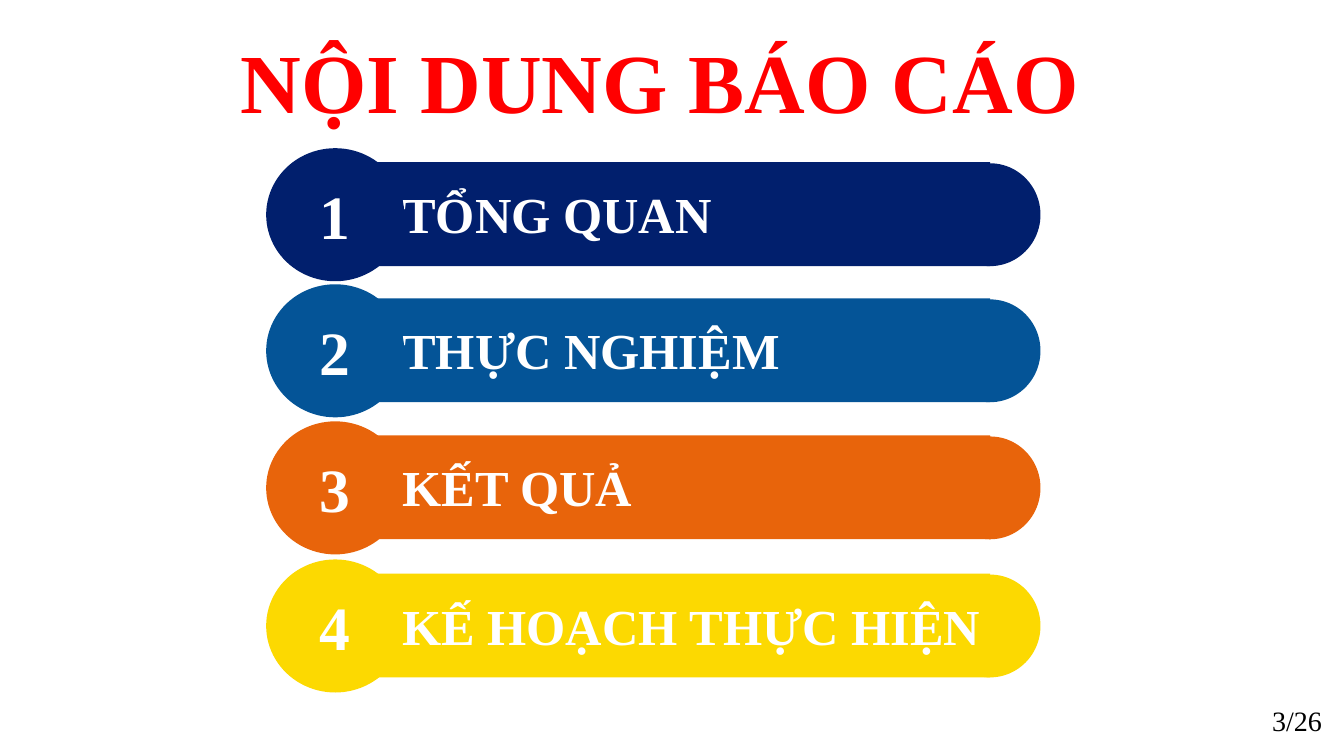
from dataclasses import dataclass

import pptx
import pptx.dml.color
import pptx.enum.shapes
import pptx.enum.text
import pptx.shapes.autoshape
import pptx.slide
import pptx.text.text
import pptx.util

Inches = pptx.util.Inches
Shapes = pptx.enum.shapes.MSO_SHAPE
Align = pptx.enum.text.PP_ALIGN
Anchor = pptx.enum.text.MSO_ANCHOR


@dataclass
class Section:
    heading: str
    top: float
    color: str
    heading_width: float = 4.82


SECTIONS = [
    Section("TỔNG QUAN", 1.61, "011F6D"),
    Section("THỰC NGHIỆM", 2.96, "045497"),
    Section("KẾT QUẢ", 4.32, "E8640B"),
    Section("KẾ HOẠCH THỰC HIỆN", 5.69, "FCD901", 6.89),
]


def rgb(color: str) -> pptx.dml.color.RGBColor:
    return pptx.dml.color.RGBColor.from_string(color)


def write(frame: pptx.text.text.TextFrame, text: str, *, size: int,
          color: str = "FFFFFF", bold: bool = True, align: Align = Align.LEFT,
          anchor: Anchor = Anchor.TOP, line_spacing: float = 1.0,
          margin_left: float = 0.1) -> None:
    frame.word_wrap = True
    frame.auto_size = pptx.enum.text.MSO_AUTO_SIZE.NONE
    frame.vertical_anchor = anchor
    frame.margin_left = Inches(margin_left)
    frame.text = text
    paragraph = frame.paragraphs[0]
    paragraph.alignment = align
    paragraph.line_spacing = line_spacing
    font = paragraph.runs[0].font
    font.name = "Times New Roman"
    font.size = pptx.util.Pt(size)
    font.bold = bold
    font.color.rgb = rgb(color)


def add_filled(slide: pptx.slide.Slide, kind: Shapes, left: float, top: float,
               width: float, height: float, color: str) -> pptx.shapes.autoshape.Shape:
    filled = slide.shapes.add_shape(kind, Inches(left), Inches(top), Inches(width), Inches(height))
    filled.shadow.inherit = False
    filled.fill.solid()
    filled.fill.fore_color.rgb = rgb(color)
    filled.line.fill.background()
    return filled


def add_section(slide: pptx.slide.Slide, number: int, section: Section) -> None:
    add_filled(slide, Shapes.OVAL, 9.32, section.top + 0.01, 1, 1.02, section.color)
    add_filled(slide, Shapes.RECTANGLE, 3.51, section.top, 6.31, 1.03, section.color)
    heading = slide.shapes.add_textbox(Inches(3.51), Inches(section.top + 0.16),
                                       Inches(section.heading_width), Inches(0.71))
    write(heading.text_frame, section.heading, size=36, margin_left=0.48)
    badge = add_filled(slide, Shapes.OVAL, 2.64, section.top - 0.14, 1.37, 1.32, section.color)
    write(badge.text_frame, str(number), size=44, align=Align.CENTER, anchor=Anchor.MIDDLE)


def main() -> None:
    deck = pptx.Presentation()
    deck.slide_width, deck.slide_height = Inches(13.33), Inches(7.5)
    slide = deck.slides.add_slide(deck.slide_layouts.get_by_name("Title Only"))

    title = slide.shapes.title
    title.left, title.top = Inches(0.88), Inches(0.25)
    title.width, title.height = Inches(11.33), Inches(1.11)
    write(title.text_frame, "NỘI DUNG BÁO CÁO", size=60, color="FF0000",
          align=Align.CENTER, anchor=Anchor.BOTTOM, line_spacing=0.9)

    for number, section in enumerate(SECTIONS, start=1):
        add_section(slide, number, section)

    page = slide.shapes.add_textbox(Inches(10.1), Inches(6.95), Inches(3.11), Inches(0.4))
    write(page.text_frame, "3/26", size=20, color="000000", bold=False,
          align=Align.RIGHT, anchor=Anchor.MIDDLE)

    deck.save("out.pptx")


if __name__ == "__main__":
    main()
